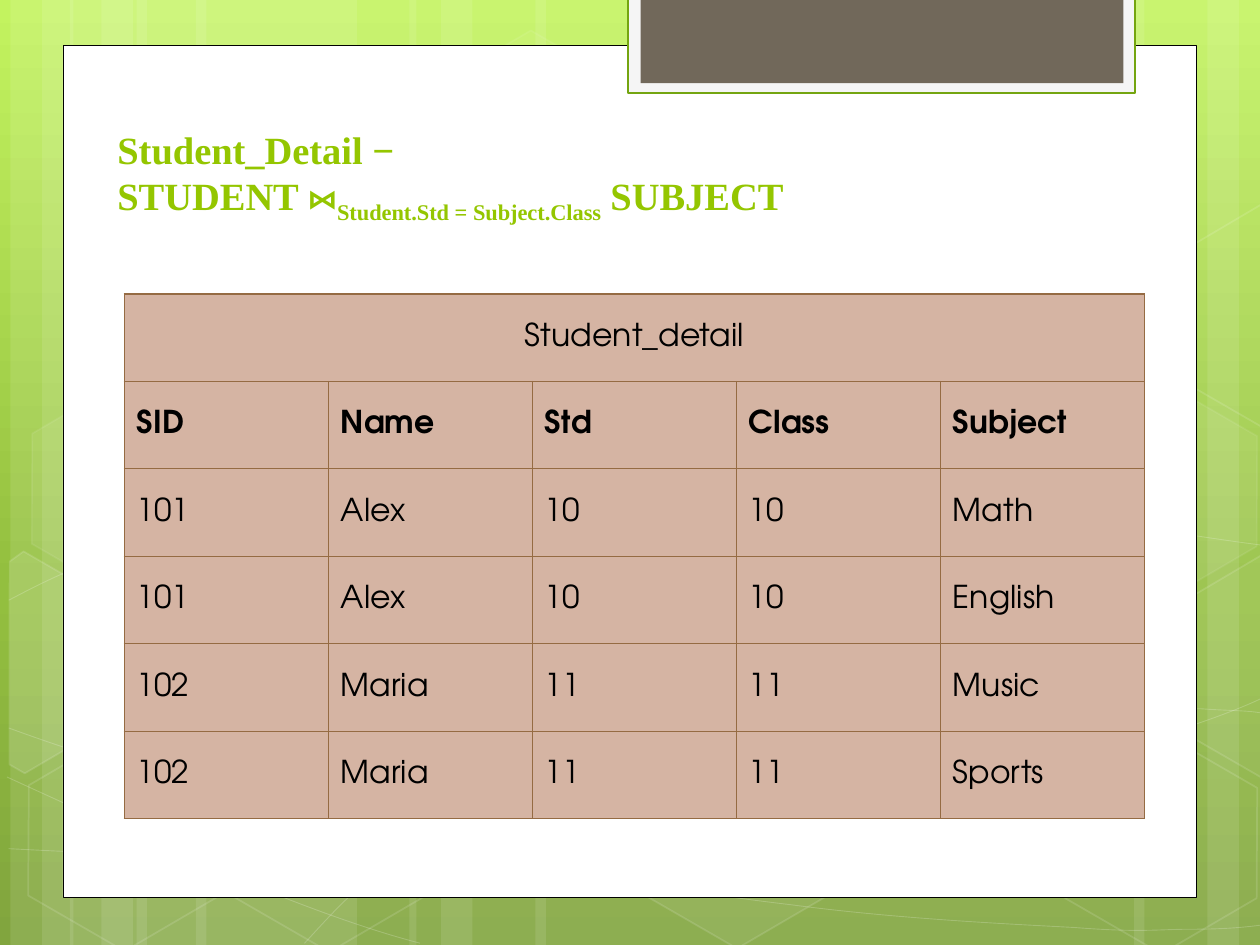
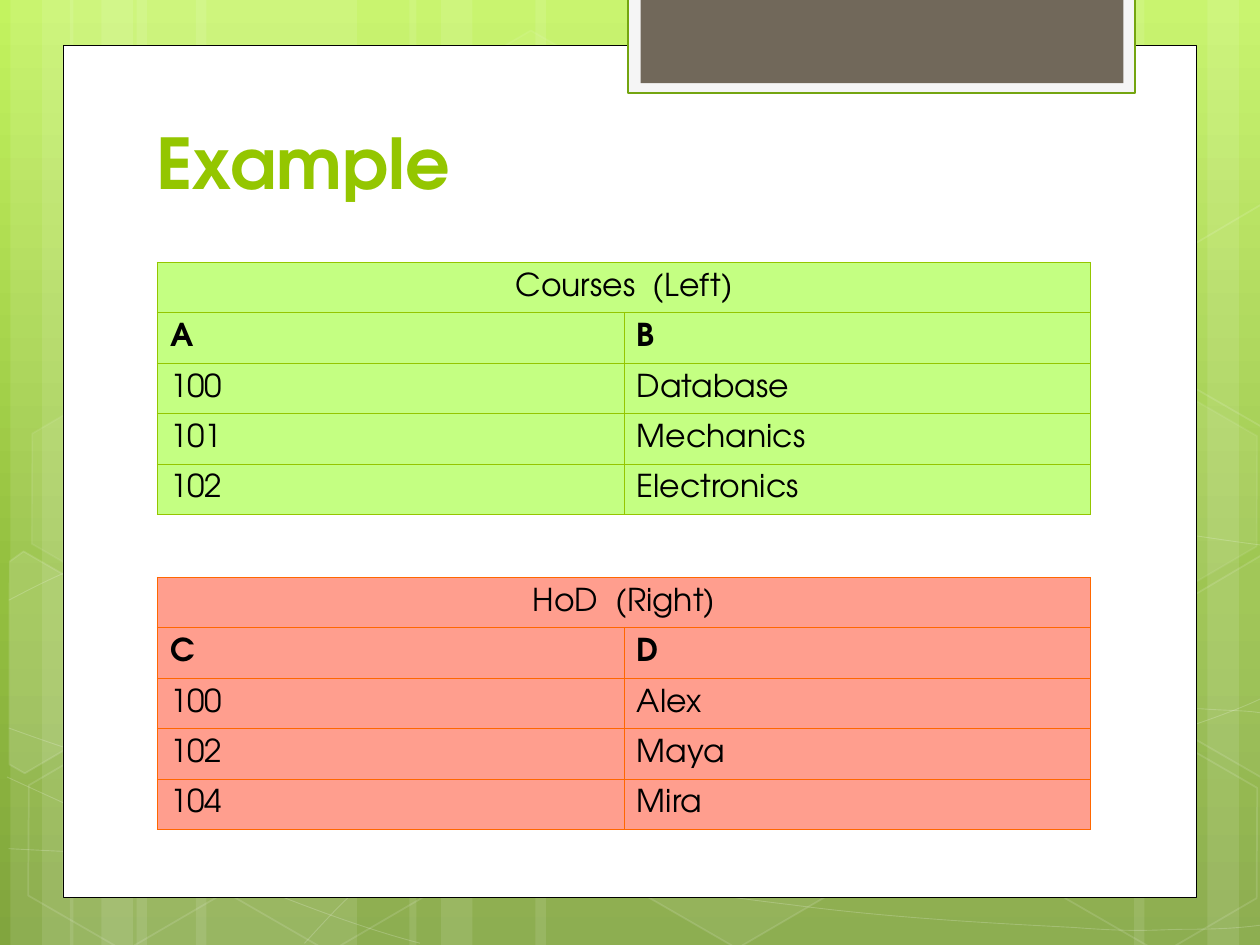
from collections import namedtuple
from copy import deepcopy

from pptx import Presentation
from pptx.dml.color import RGBColor
from pptx.enum.shapes import MSO_SHAPE
from pptx.enum.text import MSO_ANCHOR, PP_ALIGN
from pptx.oxml import parse_xml
from pptx.oxml.ns import nsdecls, qn
from pptx.util import Pt

RECTANGLE, HEXAGON = MSO_SHAPE.RECTANGLE, MSO_SHAPE.HEXAGON
BOTTOM, MIDDLE = MSO_ANCHOR.BOTTOM, MSO_ANCHOR.MIDDLE
CENTER = PP_ALIGN.CENTER

WHITE = RGBColor(0xFF, 0xFF, 0xFF)
BLACK = RGBColor(0x00, 0x00, 0x00)
LIME = RGBColor(0x94, 0xC6, 0x00)
LIGHT_LIME = RGBColor(0xC4, 0xFF, 0x82)
ORANGE = RGBColor(0xFF, 0x67, 0x00)
SALMON = RGBColor(0xFF, 0x9E, 0x8E)
BROWN = RGBColor(0x95, 0x6B, 0x43)
TAN = RGBColor(0xD5, 0xB4, 0xA3)
TAB_EDGE = RGBColor(0x74, 0xA5, 0x10)
TAB_RIM = RGBColor(0xF5, 0xF5, 0xF5)
TAB_CORE = RGBColor(0x71, 0x68, 0x5A)
BACKDROP_STOPS = [
    (0, RGBColor(0xC3, 0xF3, 0x5F)),
    (0.62, RGBColor(0x93, 0xBF, 0x3F)),
    (1, RGBColor(0x81, 0xA5, 0x3E)),
]

BODY_FONT = "TeX Gyre Adventor"
FORMULA_FONT = "Times New Roman"

Box = namedtuple("Box", "left top width height")
SLIDE = Box(0, 0, 720, 540)
CARD = Box(36, 26, 648, 487)
TAB = Box(359, -1.5, 289.5, 54.5)

STREAKS = [
    (78, 126), (6, 36), (24, 60), (112, 126), (40, 36), (58, 60),
    (528, 126), (690, 36), (648, 60), (306, 222), (234, 36), (252, 60),
]
SWOOSHES = [
    [(5, 485), (44, 487), (83, 489), (137, 488), (191, 487), (258, 486), (330, 479),
     (402, 472), (504, 458), (570, 444), (636, 431), (703, 409), (725, 397)],
    [(5, 343), (26, 332), (47, 321), (87, 310), (128, 300), (186, 284), (250, 279),
     (314, 274), (392, 273), (471, 279), (550, 284), (682, 307), (725, 312)],
    [(4, 444), (91, 484), (178, 523), (240, 539)],
    [(5, 416), (27, 424), (50, 432), (92, 444), (134, 454), (197, 472), (257, 485),
     (316, 497), (392, 510), (452, 517), (512, 525), (576, 528), (614, 530),
     (652, 533), (662, 531), (680, 531), (699, 531), (712, 530), (725, 528)],
    [(174, 539), (187, 525), (200, 510), (217, 498), (235, 485), (259, 470), (279, 460),
     (300, 450), (312, 446), (338, 438), (364, 431), (413, 421), (438, 416),
     (464, 411), (467, 411), (490, 410), (512, 408), (547, 405), (572, 405),
     (597, 404), (638, 405), (638, 405), (654, 405), (670, 405), (686, 405),
     (699, 406), (711, 406), (718, 407), (724, 408), (722, 407), (724, 408)],
]
HEXAGONS = [
    (240.5, 26, 4, 8), (358, 424, 6, 12), (8, 425.5, 0, 12), (10, 224.5, 7, 8),
    (125, 426, 0, 12), (542, 326, 10, 12), (600.5, 427, 0, 12), (600.5, 226, 7, 8),
]
LEFT_CUT = [(0, 9), (4, 0), (68, 0), (99, 55), (68, 109.5), (58, 109.5)]
RIGHT_CUT = [(0, 54), (30.5, 0), (37, 0), (98, 104), (94.5, 109.5), (31, 109.5)]
CUT_HEXAGONS = [
    (-24, 330.5, 10, LEFT_CUT), (660, 319.5, 4, RIGHT_CUT), (660, 119, 0, RIGHT_CUT),
]


def in_points(box):
    """Return the four lengths of a box as Pt values."""
    return [Pt(length) for length in box]


def set_opacity(shape, query, percent):
    """Make the colour found below the shape properties translucent."""
    for color in shape.element.spPr.xpath(query):
        color.append(parse_xml(f'<a:alpha {nsdecls("a")} val="{percent * 1000}"/>'))


def paint(shape, fill=None, line=None, weight=1, fill_opacity=100, line_opacity=100):
    """Give a shape its fill and outline without a shadow."""
    shape.shadow.inherit = False
    if fill is None or fill_opacity == 0:
        shape.fill.background()
    else:
        shape.fill.solid()
        shape.fill.fore_color.rgb = fill
    if line is None:
        shape.line.fill.background()
    else:
        shape.line.color.rgb = line
        shape.line.width = Pt(weight)
    if fill_opacity < 100:
        set_opacity(shape, "./a:solidFill/a:srgbClr", fill_opacity)
    if line_opacity < 100:
        set_opacity(shape, "./a:ln/a:solidFill/a:srgbClr", line_opacity)


def add_panel(page, box, **style):
    """Add a painted rectangle."""
    paint(page.shapes.add_shape(RECTANGLE, *in_points(box)), **style)


def add_outline(page, left, top, points, closed):
    """Add a freeform through points given relative to a corner."""
    start, *others = [(Pt(left + x), Pt(top + y)) for x, y in points]
    builder = page.shapes.build_freeform(*start, scale=1.0)
    builder.add_line_segments(others, close=closed)
    return builder.convert_to_shape()


def add_curve(page, box, knots):
    """Add an open chain of cubic curves through every third knot."""
    curve = add_outline(page, box.left, box.top, knots, closed=False)
    segments = curve.element.spPr.xpath(".//a:lnTo")
    for first in range(0, len(segments), 3):
        cubic = parse_xml(f'<a:cubicBezTo {nsdecls("a")}/>')
        segments[first].addprevious(cubic)
        for segment in segments[first:first + 3]:
            cubic.append(segment[0])
            segment.getparent().remove(segment)
    return curve


def add_backdrop(page, box):
    """Paint the green gradient with its streaks, swooshes and hexagons."""
    fill = page.background.fill
    fill.gradient()
    fill.gradient_angle = 270
    stop_list = page.element.find(".//" + qn("a:gsLst"))
    stop_list.insert(1, deepcopy(stop_list[0]))
    for stop, (position, color) in zip(fill.gradient_stops, BACKDROP_STOPS):
        stop.position = position
        stop.color.rgb = color
    for left, width in STREAKS:
        add_panel(page, Box(box.left + left, box.top, width, box.height),
                  fill=WHITE, fill_opacity=10)
    for knots in SWOOSHES:
        paint(add_curve(page, box, knots), line=WHITE, weight=0.5, line_opacity=20)
    for left, top, fill_opacity, line_opacity in HEXAGONS:
        place = Box(box.left + left, box.top + top, 126, 109.5)
        hexagon = page.shapes.add_shape(HEXAGON, *in_points(place))
        hexagon.adjustments[0] = 0.285
        hexagon.rotation = 30
        paint(hexagon, WHITE, WHITE, 1, fill_opacity, line_opacity)
    for left, top, fill_opacity, corners in CUT_HEXAGONS:
        hexagon = add_outline(page, box.left + left, box.top + top, corners, closed=True)
        hexagon.rotation = 30
        paint(hexagon, WHITE, WHITE, 1, fill_opacity, 12)


def add_tab(page, box):
    """Add the hanging tab with its inner panel."""
    add_panel(page, box, fill=TAB_RIM, line=TAB_EDGE, weight=1.25)
    add_panel(page, Box(box.left + 7, box.top, box.width - 13.5, box.height - 5.5),
              fill=TAB_CORE)


def format_span(span, font, size, bold, color):
    """Set the typeface, size, weight and colour of a run."""
    span.font.name = font
    span.font.size = Pt(size)
    span.font.bold = bold
    span.font.color.rgb = color


def add_title(page, box, pieces, font, size):
    """Add a bottom-anchored title from (text, baseline) pieces."""
    frame = page.shapes.add_textbox(*in_points(box)).text_frame
    frame.word_wrap = True
    frame.vertical_anchor = BOTTOM
    para = frame.paragraphs[0]
    para.text = pieces[0][0]
    for text, baseline in pieces[1:]:
        span = para.add_run()
        span.text = text
        if baseline:
            span.font._element.set("baseline", str(baseline * 1000))
    for span in para.runs:
        format_span(span, font, size, True, LIME)


def set_borders(cell, color):
    """Draw thin lines on the four sides of a cell."""
    for index, side in enumerate(("lnL", "lnR", "lnT", "lnB")):
        cell._tc.get_or_add_tcPr().insert(index, parse_xml(
            f'<a:{side} {nsdecls("a")} w="{Pt(0.75)}"><a:solidFill>'
            f'<a:srgbClr val="{color}"/></a:solidFill></a:{side}>'))


def add_relation(page, box, caption, rows, fill, border):
    """Add a table with a merged caption row above bold column names."""
    columns = len(rows[0])
    lines = [[caption] + [""] * (columns - 1)] + rows
    table = page.shapes.add_table(len(lines), columns, *in_points(box)).table
    table.first_row = table.horz_banding = False
    for column in table.columns:
        column.width = Pt(box.width / columns)
    for row_index, line in enumerate(lines):
        table.rows[row_index].height = Pt(box.height / len(lines))
        for column_index, text in enumerate(line):
            cell = table.cell(row_index, column_index)
            cell.text = text
            cell.vertical_anchor = MIDDLE
            cell.fill.solid()
            cell.fill.fore_color.rgb = fill
            set_borders(cell, border)
            for span in cell.text_frame.paragraphs[0].runs:
                format_span(span, BODY_FONT, 18, row_index == 1, BLACK)
    table.cell(0, 0).merge(table.cell(0, columns - 1))
    table.cell(0, 0).text_frame.paragraphs[0].alignment = CENTER


def add_page(deck):
    """Add a blank slide with the shared backdrop, card and tab."""
    page = deck.slides.add_slide(deck.slide_layouts[6])
    add_backdrop(page, SLIDE)
    add_panel(page, CARD, fill=WHITE, line=BLACK, weight=0.5)
    add_tab(page, TAB)
    return page


def add_join_result(deck):
    """Build the slide with the result of the equijoin."""
    page = add_page(deck)
    pieces = [("Student_Detail −\vSTUDENT ⋈", 0),
              ("Student.Std = Subject.Class", -25), (" SUBJECT", 0)]
    add_title(page, Box(60, 54, 575, 78), pieces, FORMULA_FONT, 22)
    rows = [["SID", "Name", "Std", "Class", "Subject"],
            ["101", "Alex", "10", "10", "Math"],
            ["101", "Alex", "10", "10", "English"],
            ["102", "Maria", "11", "11", "Music"],
            ["102", "Maria", "11", "11", "Sports"]]
    add_relation(page, Box(71, 168, 583, 300), "Student_detail", rows, TAN, BROWN)


def add_example(deck):
    """Build the slide with the left and right example relations."""
    page = add_page(deck)
    add_title(page, Box(82.4, 48, 553, 72), [("Example", 0)], BODY_FONT, 40)
    courses = [["A", "B"], ["100", "Database"], ["101", "Mechanics"], ["102", "Electronics"]]
    heads = [["C", "D"], ["100", "Alex"], ["102", "Maya"], ["104", "Mira"]]
    add_relation(page, Box(90, 149.9, 533.4, 144), "Courses  (Left)", courses,
                 LIGHT_LIME, LIME)
    add_relation(page, Box(90, 329.9, 533.4, 144), "HoD  (Right)", heads, SALMON, ORANGE)


def main():
    """Build and save the deck."""
    deck = Presentation()
    deck.slide_width, deck.slide_height = Pt(SLIDE.width), Pt(SLIDE.height)
    add_join_result(deck)
    add_example(deck)
    deck.save("out.pptx")


if __name__ == "__main__":
    main()
